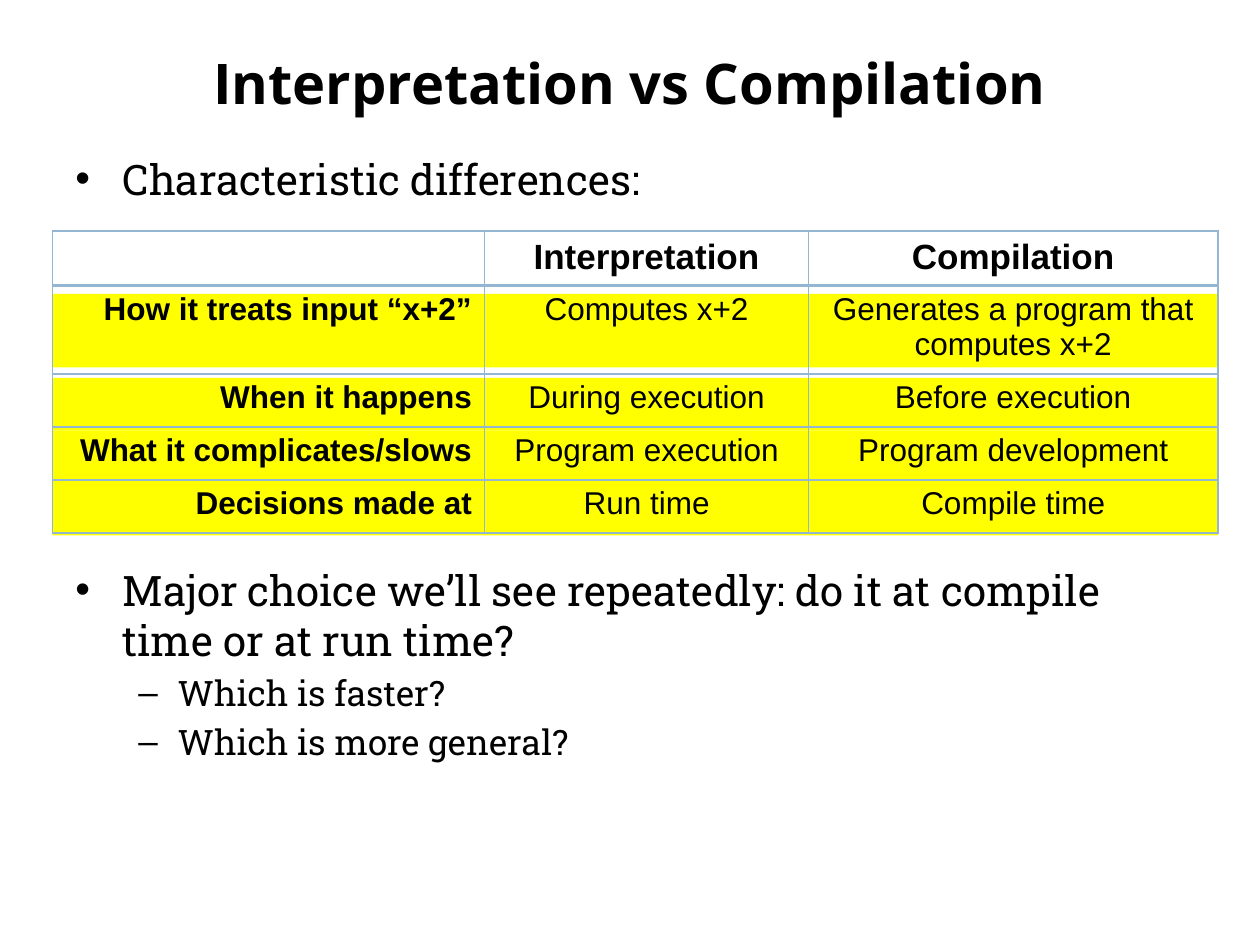
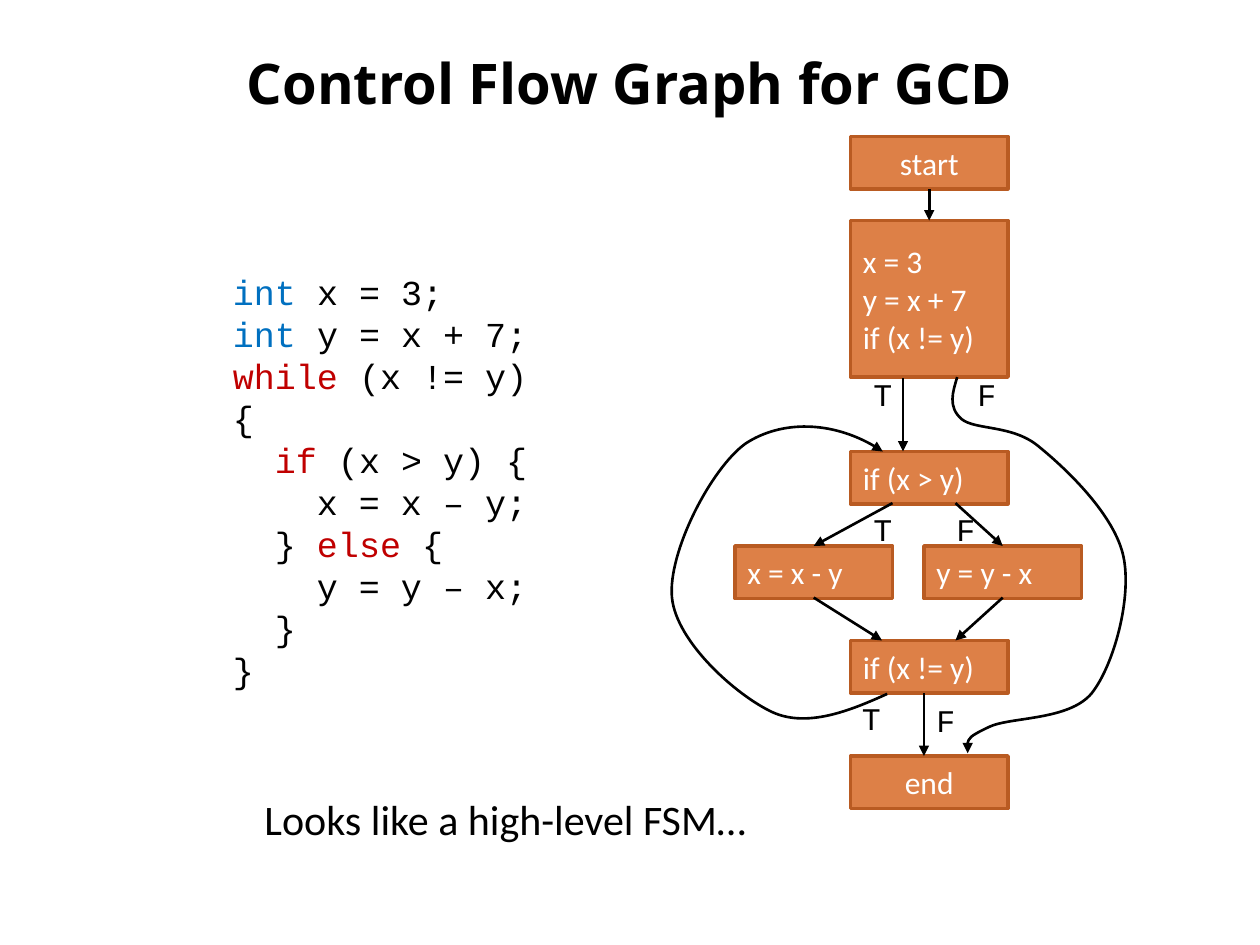
from lxml.etree import SubElement
from pptx import Presentation
from pptx.dml.color import RGBColor
from pptx.enum.shapes import MSO_CONNECTOR, MSO_SHAPE
from pptx.enum.text import MSO_ANCHOR, PP_ALIGN
from pptx.oxml.ns import qn
from pptx.util import Pt

COLORS = {
    "text": "000000",
    "highlight": "FFFF00",
    "grid": "94B6D2",
    "node": "DD8047",
    "node_edge": "B95B22",
    "node_text": "FFFFFF",
    "type": "0070C0",
    "keyword": "C00000",
}
TITLE_FONT = "Open Sans"
BODY_FONT = "Roboto Slab"
TABLE_FONT = "Arial"
CODE_FONT = "Courier New"
NODE_FONT = "Calibri"

COMPARISON = [
    ["", "Interpretation", "Compilation"],
    ["How it treats input “x+2”", "Computes x+2", "Generates a program that computes x+2"],
    ["When it happens", "During execution", "Before execution"],
    ["What it complicates/slows", "Program execution", "Program development"],
    ["Decisions made at", "Run time", "Compile time"],
]
CODE = [
    (0, [("int", "type"), (" x = 3;", "text")]),
    (0, [("int", "type"), (" y = x + 7;", "text")]),
    (0, [("while", "keyword"), (" (x != y) {", "text")]),
    (1, [("if", "keyword"), (" (x > y) {", "text")]),
    (2, [("x = x – y;", "text")]),
    (1, [("} ", "text"), ("else", "keyword"), (" {", "text")]),
    (2, [("y = y – x;", "text")]),
    (1, [("}", "text")]),
    (0, [("}", "text")]),
]
NODE_WIDTH, NODE_HEIGHT = 90, 30
MAIN_LEFT = 486
NODES = [
    (MAIN_LEFT, 78, NODE_HEIGHT, ["start"], PP_ALIGN.CENTER),
    (MAIN_LEFT, 126, 89.5, ["x = 3", "y = x + 7", "if (x != y)"], PP_ALIGN.LEFT),
    (MAIN_LEFT, 258, NODE_HEIGHT, ["if (x > y)"], PP_ALIGN.LEFT),
    (420, 312, NODE_HEIGHT, ["x = x - y"], PP_ALIGN.LEFT),
    (528, 312, NODE_HEIGHT, ["y = y - x"], PP_ALIGN.LEFT),
    (MAIN_LEFT, 366, NODE_HEIGHT, ["if (x != y)"], PP_ALIGN.LEFT),
    (MAIN_LEFT, 432, NODE_HEIGHT, ["end"], PP_ALIGN.CENTER),
]
ARROWS = [
    (531, 108, 531, 126),
    (516, 216, 516, 258),
    (510, 287.5, 465, 312),
    (546, 287.5, 573, 312),
    (465, 341.5, 504, 366),
    (573, 341.5, 546, 366),
    (528, 396, 528, 432),
]
LOOP_BACK = [
    (507, 396.5), (486, 406), (461.5, 416), (441.5, 407),
    (421, 397.5), (386.5, 367), (384, 341.5),
    (381.5, 316), (406, 268), (426, 253.5),
    (446.5, 240), (479, 240.5), (504.5, 258),
]
LOOP_SKIP = [
    (547, 215.5), (544.5, 224), (541.5, 232.5), (549.5, 239.5),
    (557.5, 246), (579, 242.5), (594, 255.5),
    (610, 268.5), (637, 294.5), (642, 318),
    (647, 341.5), (636.5, 380), (624, 396),
    (611, 412), (577, 409.5), (565, 415.5),
    (553.5, 421), (551.5, 424), (553, 430.5),
]
BRANCH_LABELS = [
    ("T", 492, 211), ("F", 551.5, 211),
    ("T", 492, 288), ("F", 539.5, 288),
    ("T", 485.5, 396), ("F", 528, 397),
]


def rgb(name):
    return RGBColor.from_string(COLORS[name])


def style(font, name, size, color="text", bold=False):
    font.name, font.size, font.bold = name, Pt(size), bold
    font.color.rgb = rgb(color)


def add_text(slide, left, top, width, height, wrap=True):
    box = slide.shapes.add_textbox(Pt(left), Pt(top), Pt(width), Pt(height))
    box.text_frame.word_wrap = wrap
    return box.text_frame


def add_line_of_text(frame):
    first = frame.paragraphs[0]
    return frame.add_paragraph() if first.runs else first


def add_label(slide, text, left, top, width, height, font, size):
    label = add_text(slide, left, top, width, height, wrap=False).paragraphs[0]
    label.text = text
    style(label.font, font, size)


def add_title(slide, text):
    frame = add_text(slide, 36, 21.6, 648, 50.4)
    frame.vertical_anchor = MSO_ANCHOR.MIDDLE
    title = frame.paragraphs[0]
    title.text = text
    title.alignment = PP_ALIGN.CENTER
    style(title.font, TITLE_FONT, 32, bold=True)


def add_bullet(frame, text, mark, size, margin, hanging, before):
    bullet = add_line_of_text(frame)
    bullet.text = text
    bullet.space_before = Pt(before)
    bullet.line_spacing = Pt(size * 1.2)
    style(bullet.font, BODY_FONT, size)
    properties = bullet._p.get_or_add_pPr()
    properties.set("marL", str(Pt(margin)))
    properties.set("indent", str(Pt(-hanging)))
    SubElement(properties, qn("a:buFont"), typeface="Arial")
    SubElement(properties, qn("a:buChar"), char=mark)


def add_rectangle(slide, left, top, width, height, fill, edge=None):
    rectangle = slide.shapes.add_shape(
        MSO_SHAPE.RECTANGLE, Pt(left), Pt(top), Pt(width), Pt(height))
    rectangle.shadow.inherit = False
    rectangle.fill.solid()
    rectangle.fill.fore_color.rgb = rgb(fill)
    if edge:
        rectangle.line.color.rgb = rgb(edge)
        rectangle.line.width = Pt(2)
    else:
        rectangle.line.fill.background()
    return rectangle


def set_borders(cell, bottom_width):
    properties = cell._tc.get_or_add_tcPr()
    for index, side in enumerate(("lnL", "lnR", "lnT", "lnB")):
        width = bottom_width if side == "lnB" else 1
        border = SubElement(properties, qn(f"a:{side}"), w=str(Pt(width)))
        fill = SubElement(border, qn("a:solidFill"))
        SubElement(fill, qn("a:srgbClr"), val=COLORS["grid"])
        properties.insert(index, border)


def add_comparison(slide):
    widths, heights = (247, 185, 234), (31, 50.5, 30.3, 30.3, 30.3)
    table = slide.shapes.add_table(
        len(heights), len(widths), Pt(30), Pt(132), Pt(sum(widths)), Pt(sum(heights))).table
    table.first_row = table.horz_banding = False
    for column, width in zip(table.columns, widths):
        column.width = Pt(width)
    for r, (row, height) in enumerate(zip(table.rows, heights)):
        row.height = Pt(height)
        size = 20 if r == 0 else 18
        for c, cell in enumerate(row.cells):
            cell.fill.background()
            set_borders(cell, 2 if r == 0 else 1)
            entry = cell.text_frame.paragraphs[0]
            entry.text = COMPARISON[r][c]
            entry.alignment = PP_ALIGN.RIGHT if c == 0 else PP_ALIGN.CENTER
            entry.space_before = Pt(size * 0.2)
            style(entry.font, TABLE_FONT, size, bold=r == 0 or c == 0)


def add_node(slide, left, top, height, lines, alignment):
    node = add_rectangle(slide, left, top, NODE_WIDTH, height, "node", "node_edge")
    frame = node.text_frame
    frame.word_wrap = True
    frame.vertical_anchor = MSO_ANCHOR.MIDDLE
    frame.margin_left = frame.margin_right = Pt(7.2)
    frame.margin_top = frame.margin_bottom = Pt(7.2)
    for text in lines:
        statement = add_line_of_text(frame)
        statement.text = text
        statement.alignment = alignment
        style(statement.font, NODE_FONT, 18, "node_text")


def finish_arrow(arrow):
    arrow.line.color.rgb = rgb("text")
    arrow.line.width = Pt(1.5)
    properties = arrow._element.spPr
    SubElement(properties.find(qn("a:ln")), qn("a:tailEnd"), type="triangle")
    SubElement(properties, qn("a:effectLst"))


def add_arrow(slide, *ends):
    finish_arrow(slide.shapes.add_connector(MSO_CONNECTOR.STRAIGHT, *map(Pt, ends)))


def add_curved_arrow(slide, points):
    start, *controls = [(Pt(x), Pt(y)) for x, y in points]
    builder = slide.shapes.build_freeform(*start)
    builder.add_line_segments(controls, close=False)
    curve = builder.convert_to_shape()
    curve.fill.background()
    outline = next(curve._element.iter(qn("a:path")))
    segments = outline.findall(qn("a:lnTo"))
    for i in range(0, len(segments), 3):
        bezier = SubElement(outline, qn("a:cubicBezTo"))
        for segment in segments[i:i + 3]:
            bezier.append(segment[0])
            outline.remove(segment)
    finish_arrow(curve)


def add_code(slide):
    frame = add_text(slide, 126, 151, 192, 225)
    for depth, pieces in CODE:
        line = add_line_of_text(frame)
        line.line_spacing = Pt(24)
        style(line.font, CODE_FONT, 20)
        if depth:
            properties = line._p.get_or_add_pPr()
            properties.set("marL", str(Pt(24 * depth)))
            properties.set("indent", "0")
        for text, color in pieces:
            run = line.add_run()
            run.text = text
            run.font.color.rgb = rgb(color)


def build_comparison_slide(slide):
    for top, height in ((168, 42), (216, 30), (246, 30), (276, 30)):
        add_rectangle(slide, 30, top, 666, height, "highlight")
    add_title(slide, "Interpretation vs Compilation")
    body = add_text(slide, 36, 84, 648, 398)
    add_bullet(body, "Characteristic differences:", "•", 24, 27, 27, 4.8)
    add_bullet(body, "Major choice we’ll see repeatedly: do it at compile time or at run time?",
               "•", 24, 27, 27, 206)
    for question in ("Which is faster?", "Which is more general?"):
        add_bullet(body, question, "–", 20, 58.5, 22.5, 4)
    add_comparison(slide)


def build_flow_slide(slide):
    add_title(slide, "Control Flow Graph for GCD")
    for node in NODES:
        add_node(slide, *node)
    for arrow in ARROWS:
        add_arrow(slide, *arrow)
    add_code(slide)
    for curve in (LOOP_BACK, LOOP_SKIP):
        add_curved_arrow(slide, curve)
    for text, left, top in BRANCH_LABELS:
        add_label(slide, text, left, top, 24.5, 29, CODE_FONT, 18)
    add_label(slide, "Looks like a high-level FSM…", 144, 450, 301, 36, NODE_FONT, 24)


def main():
    deck = Presentation()
    deck.slide_width, deck.slide_height = Pt(720), Pt(540)
    for build in (build_comparison_slide, build_flow_slide):
        build(deck.slides.add_slide(deck.slide_layouts[6]))
    deck.save("out.pptx")


main()
